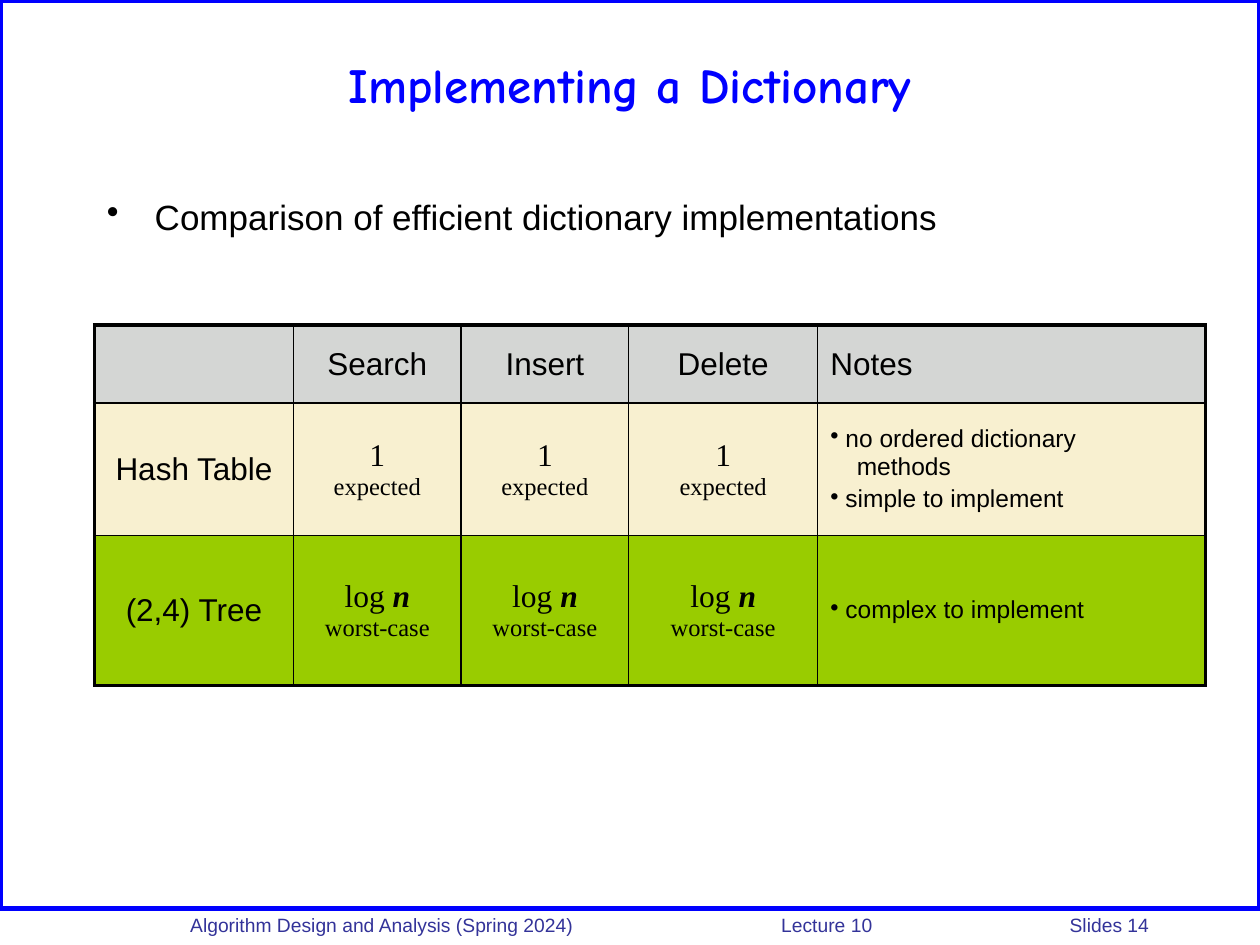
"""Build a slide that compares efficient dictionary implementations."""
import dataclasses

import pptx
import pptx.dml.color
import pptx.enum.shapes
import pptx.enum.text
import pptx.oxml.ns
import pptx.util
import lxml.etree

Inches = pptx.util.Inches
Pt = pptx.util.Pt
Align = pptx.enum.text.PP_ALIGN
Anchor = pptx.enum.text.MSO_ANCHOR


@dataclasses.dataclass(frozen=True)
class Theme:
    blue: str = "0000FF"
    navy: str = "333399"
    black: str = "000000"
    gray: str = "D4D6D4"
    cream: str = "F8F0D0"
    green: str = "99CC00"
    sans: str = "Arial"
    serif: str = "Times New Roman"
    comic: str = "Comic Neue"
    title: int = 28
    body: int = 20
    cell: int = 18
    note: int = 14
    foot: int = 11
    thin: float = 1
    thick: float = 2.25


def rgb(code):
    return pptx.dml.color.RGBColor.from_string(code)


def add(root, tag, **attrs):
    node = lxml.etree.SubElement(root, pptx.oxml.ns.qn(tag))
    for name, value in attrs.items():
        node.set(name, str(value))
    return node


def write(para, text, font, size, color="000000", bold=False, slant=False,
          align=Align.LEFT, left=0, bullet=False, tabs=(), before=0):
    props = para._p.get_or_add_pPr()
    if left:
        props.set("marL", str(Inches(left)))
        props.set("indent", str(-Inches(left) if bullet else 0))
    if bullet:
        add(props, "a:buChar", char="•")
    if tabs:
        stops = add(props, "a:tabLst")
        for stop in tabs:
            add(stops, "a:tab", pos=Inches(stop), algn="l")
    para.alignment = align
    para.space_before = Pt(before)
    run = para.add_run()
    run.text = text
    run.font.name, run.font.size = font, Pt(size)
    run.font.bold, run.font.italic = bold, slant
    run.font.color.rgb = rgb(color)


class Deck:
    def __init__(self, theme):
        self.theme = theme
        self.file = pptx.Presentation()
        self.file.slide_width = Inches(10)
        self.file.slide_height = Inches(7.5)
        self.slide = self.file.slides.add_slide(self.file.slide_layouts[6])

    def frame(self, area, color, width):
        shape = self.slide.shapes.add_shape(
            pptx.enum.shapes.MSO_SHAPE.RECTANGLE, *map(Inches, area))
        shape.shadow.inherit = False
        shape.fill.background()
        shape.line.color.rgb = rgb(color)
        shape.line.width = Pt(width)

    def text(self, area, text, anchor=Anchor.TOP, inset=0.1, **look):
        box = self.slide.shapes.add_textbox(*map(Inches, area)).text_frame
        box.word_wrap = True
        box.vertical_anchor = anchor
        box.margin_left = Inches(inset)
        write(box.paragraphs[0], text, **look)

    def edge(self, cell, first, last, top, end):
        props = cell._tc.get_or_add_tcPr()
        sides = {"L": first, "R": last, "T": top, "B": end}
        for side, outer in sides.items():
            width = self.theme.thick if outer else self.theme.thin
            line = add(props, "a:ln" + side, w=Pt(width))
            add(add(line, "a:solidFill"), "a:srgbClr", val=self.theme.black)

    def table(self, area, cols, rows, fills, cells):
        grid = self.slide.shapes.add_table(
            len(rows), len(cols), *map(Inches, area)).table
        grid.first_row = grid.horz_banding = False
        for col, width in zip(grid.columns, cols):
            col.width = Inches(width)
        for r, height in enumerate(rows):
            grid.rows[r].height = Inches(height)
            for c, fill in enumerate(cells[r]):
                cell = grid.cell(r, c)
                self.edge(cell, c == 0, c == len(cols) - 1,
                          r == 0, r == len(rows) - 1)
                cell.fill.solid()
                cell.fill.fore_color.rgb = rgb(fills[r])
                cell.vertical_anchor = Anchor.MIDDLE
                fill(cell.text_frame)

    def label(self, text, align=Align.CENTER):
        def fill(frame):
            if text:
                write(frame.paragraphs[0], text, self.theme.sans,
                      self.theme.cell, align=align)
        return fill

    def cost(self, text, case, var=""):
        def fill(frame):
            para = frame.paragraphs[0]
            look = dict(font=self.theme.serif, align=Align.CENTER)
            write(para, text, size=self.theme.cell, **look)
            if var:
                write(para, var, size=self.theme.cell, bold=True, slant=True,
                      **look)
            para.add_line_break()
            write(para, case, size=self.theme.note, **look)
        return fill

    def notes(self, *items):
        def fill(frame):
            for i, (text, bullet) in enumerate(items):
                para = frame.add_paragraph() if i else frame.paragraphs[0]
                write(para, text, self.theme.sans, self.theme.note,
                      bullet=bullet, left=0.12 if bullet else 0.21,
                      before=3 if i and bullet else 0)
        return fill


def main():
    look = Theme()
    deck = Deck(look)
    deck.frame((0, 0, 10, 7.21), look.blue, 3)
    deck.text((1.33, 7.2, 8.67, 0.26),
              "Algorithm Design and Analysis (Spring 2024)\tLecture 10\tSlides 14",
              inset=0.18, font=look.sans, size=look.foot, color=look.navy,
              tabs=(4.69, 6.98))
    deck.text((0.5, 0.17, 9, 1), "Implementing a Dictionary", Anchor.MIDDLE,
              font=look.comic, size=look.title, color=look.blue, bold=True,
              align=Align.CENTER)
    deck.text((0.75, 1.5, 8.5, 0.67),
              "Comparison of efficient dictionary implementations",
              font=look.sans, size=look.body, left=0.38, bullet=True)
    head = [deck.label(name) for name in ("", "Search", "Insert", "Delete")]
    cells = [
        head + [deck.label("Notes", Align.LEFT)],
        [deck.label("Hash Table"), *[deck.cost("1", "expected")] * 3,
         deck.notes(("no ordered dictionary", True), ("methods", False),
                    ("simple to implement", True))],
        [deck.label("(2,4) Tree"),
         *[deck.cost("log ", "worst-case", "n")] * 3,
         deck.notes(("complex to implement", True))],
    ]
    deck.table((0.75, 2.58, 8.83, 2.86), (1.58, 1.33, 1.33, 1.5, 3.08),
               (0.62, 1.05, 1.19), (look.gray, look.cream, look.green), cells)
    deck.file.save("out.pptx")


if __name__ == "__main__":
    main()
